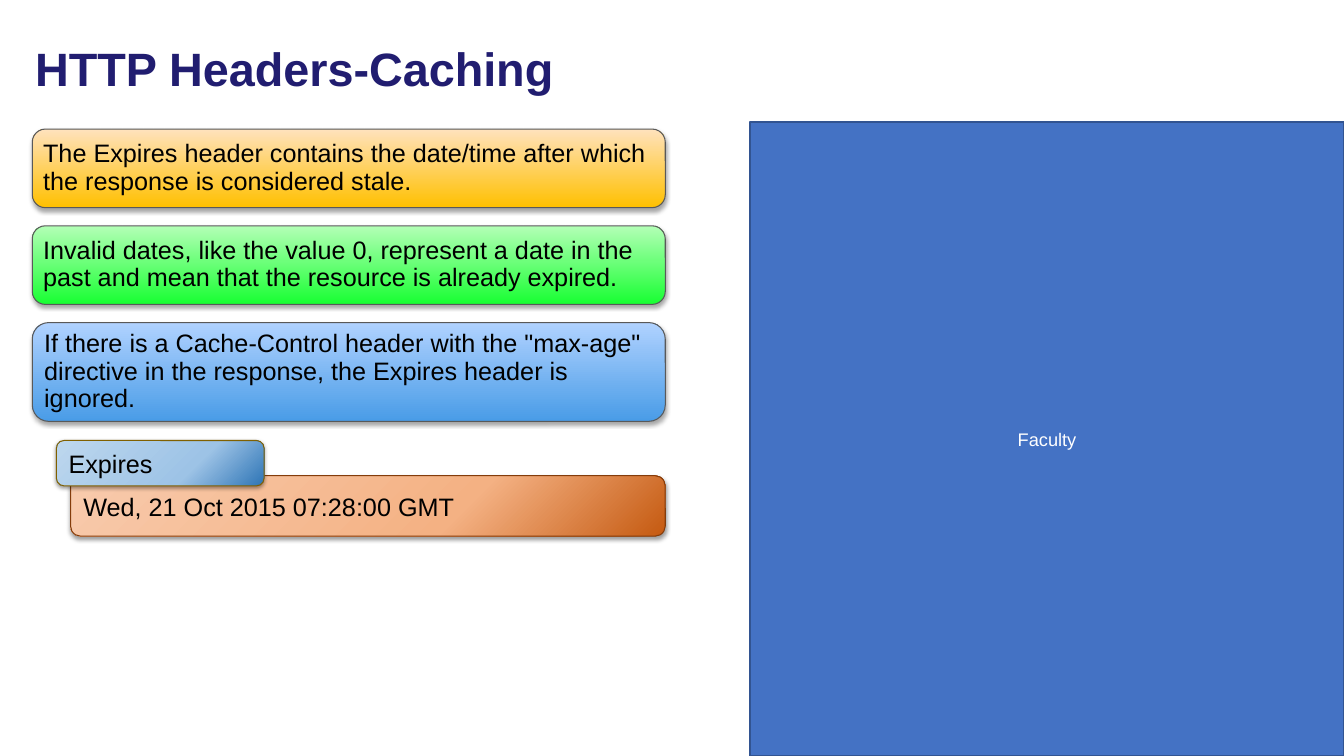
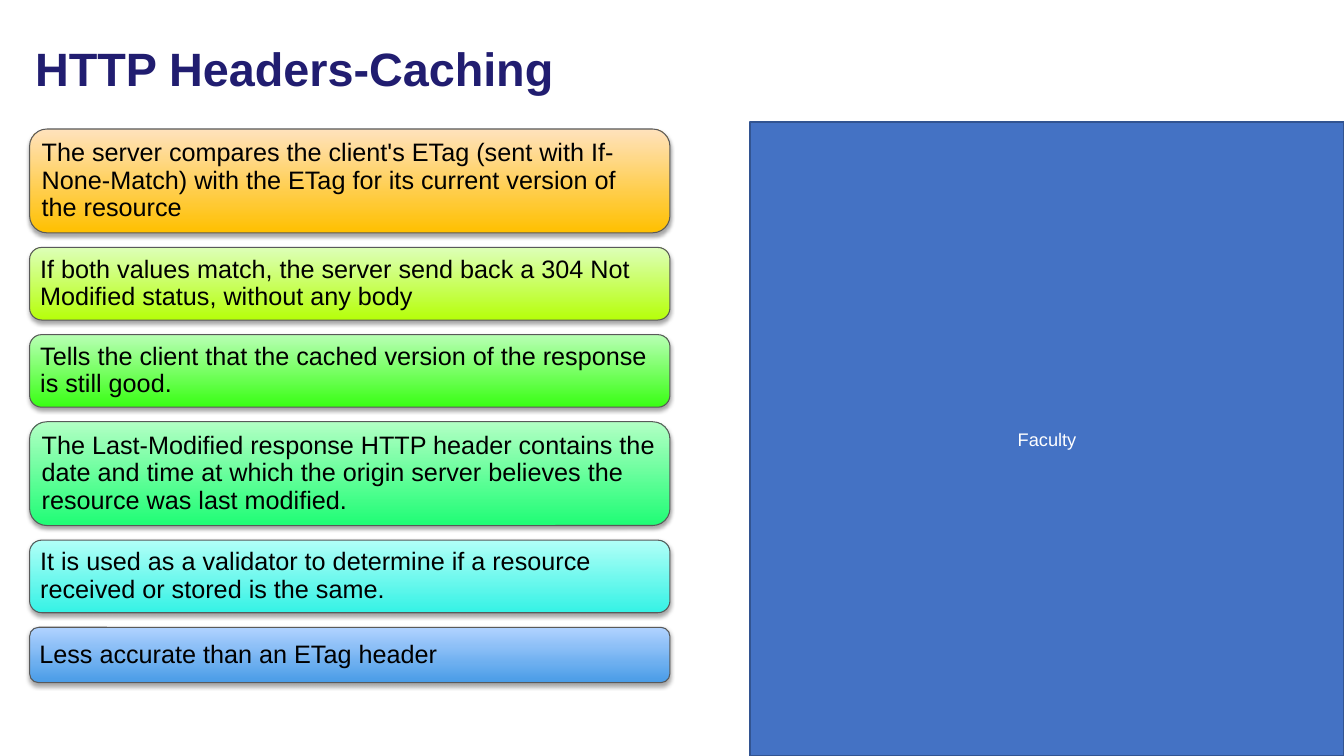
from pptx import Presentation
from pptx.dml.color import RGBColor
from pptx.enum.shapes import MSO_SHAPE as SHAPE
from pptx.enum.text import MSO_ANCHOR as ANCHOR, PP_ALIGN as ALIGN
from pptx.oxml import parse_xml
from pptx.oxml.ns import nsdecls, qn
from pptx.util import Inches, Pt

SLIDE_W, SLIDE_H = Inches(13.33), Inches(7.5)
FONT = "Arial"
NAVY, BLACK, WHITE = "211D70", "000000", "FFFFFF"
PANEL_FILL, PANEL_LINE, CARD_LINE = "4472C4", "325491", "595959"
STACK_TOP = 17.07
UP, UP_LEFT = 270, 225

ORANGE = [(0, "FFC000"), (100, "FFE2BD")]
LIME = [(0, "B6FF0A"), (100, "DDFFB8")]
LEAF = [(0, "39FF14"), (100, "B8FFB4")]
GREEN = [(0, "19FF33"), (100, "B3FFB6")]
MINT = [(0, "1FFD75"), (100, "B2FFC4")]
CYAN = [(0, "35F2E5"), (100, "B1FFF7")]
BLUE = [(0, "499CE7"), (100, "B0D2FF")]
RUST = [(0, "C55A11"), (35, "F4B183"), (100, "F8CBAD")]
STEEL = [(0, "2E75B6"), (35, "9DC3E6"), (100, "BDD7EE")]

EXPIRES_CARDS = [
    (10.4, GREEN[:0] or ORANGE, "The Expires header contains the date/time after which the response is considered stale."),
    (10.4, GREEN, "Invalid dates, like the value 0, represent a date in the past and mean that the resource is already expired."),
    (13.07, BLUE, 'If there is a Cache-Control header with the "max-age" directive in the response, the Expires header is ignored.'),
]
EXPIRES_CARDS[0] = (10.4, ORANGE, EXPIRES_CARDS[0][2])

ETAG_CARDS = [
    (13.73, ORANGE, "The server compares the client's ETag (sent with If-None-Match) with the ETag for its current version of the resource"),
    (9.6, LIME, "If both values match, the server send back a 304 Not Modified status, without any body"),
    (9.6, LEAF, "Tells the client that the cached version of the response is still good."),
    (13.73, MINT, "The Last-Modified response HTTP header contains the date and time at which the origin server believes the resource was last modified."),
    (9.6, CYAN, "It is used as a validator to determine if a resource received or stored is the same."),
    (7.33, BLUE, "Less accurate than an ETag header"),
]


def rgb(value):
    return RGBColor.from_string(value)


def area(x, y, w, h):
    return (int(SLIDE_W * x / 100), int(SLIDE_H * y / 100),
            int(SLIDE_W * w / 100), int(SLIDE_H * h / 100))


def write(sp, text, size, color, bold=False, align=ALIGN.LEFT, spacing=1.0, inset=None):
    tf = sp.text_frame
    tf.word_wrap = True
    tf.vertical_anchor = ANCHOR.MIDDLE
    if inset is not None:
        tf.margin_left = tf.margin_right = tf.margin_top = tf.margin_bottom = Inches(inset)
    p = tf.paragraphs[0]
    p.text = text
    p.alignment = align
    p.line_spacing = spacing
    p.font.name, p.font.size, p.font.bold = FONT, Pt(size), bold
    p.font.color.rgb = rgb(color)


def add_box(slide, shape, box, line, width):
    sp = slide.shapes.add_shape(shape, *area(*box))
    sp.shadow.inherit = False
    sp.line.color.rgb = rgb(line)
    sp.line.width = Pt(width)
    return sp


def set_gradient(sp, stops, angle):
    gs = "".join(f'<a:gs pos="{pos * 1000}"><a:srgbClr val="{color}"/></a:gs>'
                 for pos, color in stops)
    geometry = sp._element.spPr.find(qn("a:prstGeom"))
    geometry.addnext(parse_xml(
        f'<a:gradFill {nsdecls("a")} rotWithShape="1"><a:gsLst>{gs}</a:gsLst>'
        f'<a:lin ang="{angle * 60000}" scaled="0"/></a:gradFill>'))


def set_shadow(sp, distance, opacity):
    effects = sp._element.spPr.find(qn("a:effectLst"))
    effects.append(parse_xml(
        f'<a:outerShdw {nsdecls("a")} blurRad="{Pt(3.1)}" dist="{Pt(distance)}" '
        f'dir="5400000" rotWithShape="0"><a:srgbClr val="{BLACK}">'
        f'<a:alpha val="{opacity * 1000}"/></a:srgbClr></a:outerShdw>'))


def add_card(slide, box, stops, text):
    sp = add_box(slide, SHAPE.ROUNDED_RECTANGLE, box, CARD_LINE, 0.75)
    set_gradient(sp, stops, UP)
    set_shadow(sp, 1.8, 35)
    write(sp, text, 18, BLACK, spacing=0.9, inset=0.07)


def add_tag(slide, box, stops, line, text):
    sp = add_box(slide, SHAPE.ROUNDED_RECTANGLE, box, line, 0.75)
    set_gradient(sp, stops, UP_LEFT)
    set_shadow(sp, 1.6, 38)
    write(sp, text, 18, BLACK)


def add_stack(slide, x, w, gap, cards):
    y = STACK_TOP
    for h, stops, text in cards:
        add_card(slide, (x, y, w, h), stops, text)
        y += h + gap


def add_base(prs, title):
    slide = prs.slides.add_slide(prs.slide_layouts[6])
    x, y = 55.81, 16.13
    panel = add_box(slide, SHAPE.RECTANGLE, (x, y, 100 - x, 100 - y), PANEL_LINE, 2)
    panel.fill.solid()
    panel.fill.fore_color.rgb = rgb(PANEL_FILL)
    write(panel, "Faculty", 13, WHITE, align=ALIGN.CENTER)
    sp = slide.shapes.add_textbox(*area(1.88, 3.33, 88.6, 12.13))
    write(sp, title, 33.4, NAVY, bold=True, spacing=0.9)
    return slide


def main():
    prs = Presentation()
    prs.slide_width, prs.slide_height = SLIDE_W, SLIDE_H

    slide = add_base(prs, "HTTP Headers-Caching")
    add_stack(slide, 2.4, 47.1, 2.4, EXPIRES_CARDS)
    add_tag(slide, (5.25, 62.93, 44.25, 8), RUST, "843C0B", "Wed, 21 Oct 2015 07:28:00 GMT")
    add_tag(slide, (4.2, 58.27, 15.45, 6), STEEL, "806000", "Expires")

    slide = add_base(prs, "HTTP Headers-Caching")
    add_stack(slide, 2.2, 47.65, 1.93, ETAG_CARDS)

    prs.save("out.pptx")


if __name__ == "__main__":
    main()
